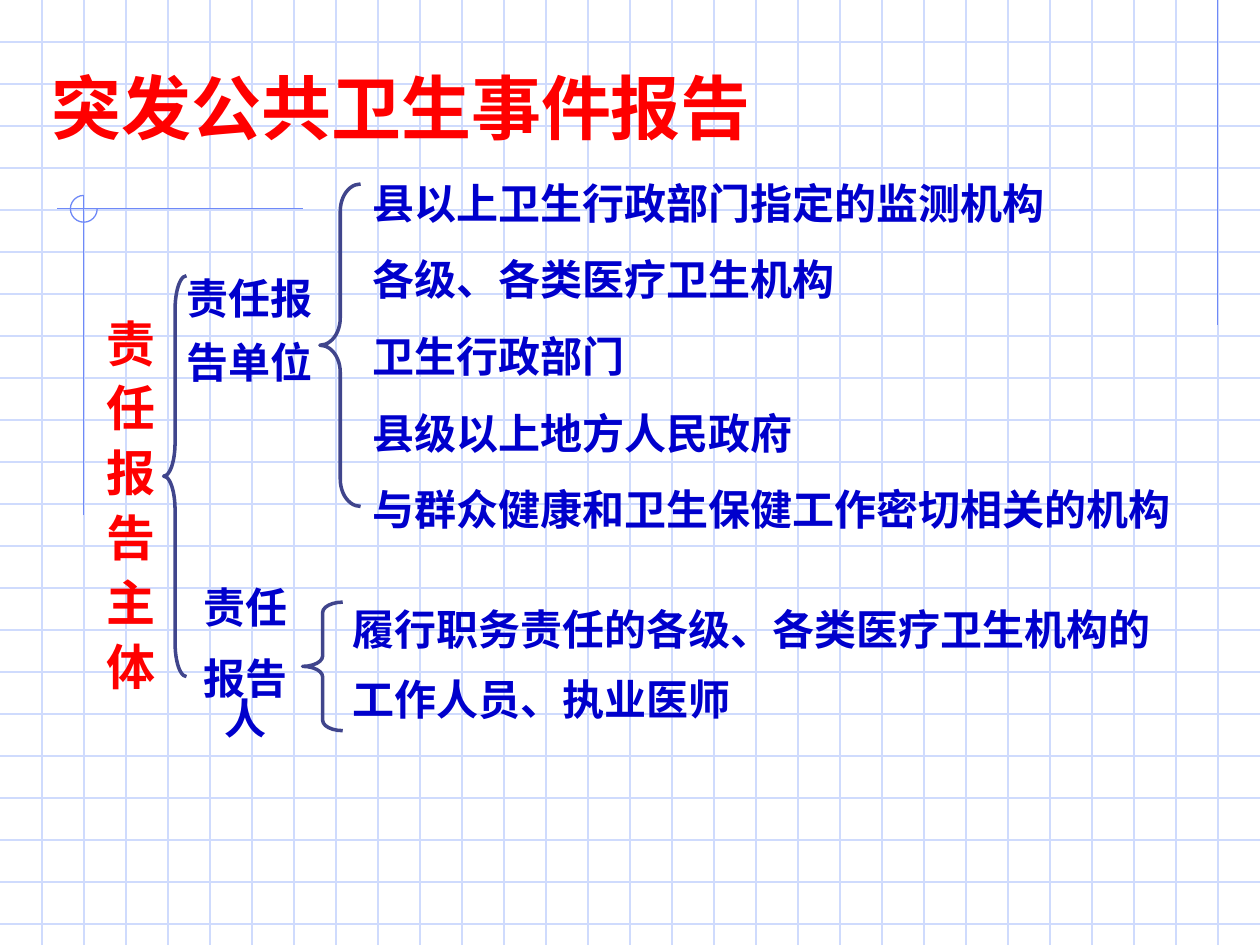
from pptx import Presentation
from pptx.dml.color import RGBColor
from pptx.enum.shapes import MSO_CONNECTOR, MSO_SHAPE
from pptx.enum.text import MSO_ANCHOR, PP_ALIGN
from pptx.oxml.ns import qn
from pptx.util import Cm, Pt
from lxml import etree

STRAIGHT = MSO_CONNECTOR.STRAIGHT
ARC, LEFT_BRACE = MSO_SHAPE.ARC, MSO_SHAPE.LEFT_BRACE
TOP, MIDDLE, BOTTOM = MSO_ANCHOR.TOP, MSO_ANCHOR.MIDDLE, MSO_ANCHOR.BOTTOM
LEFT, CENTER = PP_ALIGN.LEFT, PP_ALIGN.CENTER

COLORS = {
    "grid": "CFDBFD",
    "accent": "6F89F7",
    "brace": "40458C",
    "red": "FF0000",
    "blue": "0000CC",
}
WIDTH, HEIGHT = 25.4, 19.05
GRID_STEP = WIDTH / 30

prs = Presentation()
prs.slide_width, prs.slide_height = Cm(WIDTH), Cm(HEIGHT)
slide = prs.slides.add_slide(prs.slide_layouts[6])


def add_line(x1, y1, x2, y2, color):
    rule = slide.shapes.add_connector(STRAIGHT, Cm(x1), Cm(y1), Cm(x2), Cm(y2))
    rule.line.color.rgb = RGBColor.from_string(COLORS[color])
    rule.line.width = Pt(0.75)
    etree.SubElement(rule._element.spPr, qn("a:effectLst"))


def add_outline(preset, box, color, weight, adjustments):
    outline = slide.shapes.add_shape(preset, *map(Cm, box))
    outline.shadow.inherit = False
    outline.fill.background()
    outline.line.color.rgb = RGBColor.from_string(COLORS[color])
    outline.line.width = Pt(weight)
    for index, value in enumerate(adjustments):
        outline.adjustments[index] = value


for row in range(1, 23):
    add_line(0, row * GRID_STEP, WIDTH, row * GRID_STEP, "grid")
for column in range(1, 30):
    add_line(column * GRID_STEP, 0, column * GRID_STEP, HEIGHT, "grid")

for ends in [(24.55, 0, 24.55, 6.55), (6.1, 4.21, 1.14, 4.21), (1.69, 3.94, 1.69, 10.39)]:
    add_line(*ends, "accent")
add_outline(ARC, (1.42, 3.94, 0.54, 0.54), "accent", 0.75, (0, 162))

braces = [
    ((6.45, 3.71, 0.82, 6.5), 0.67),
    ((3.3, 5.56, 0.46, 8.08), 1.47),
    ((6.1, 12.14, 0.81, 2.59), 0.26),
]
for box, curl in braces:
    add_outline(LEFT_BRACE, box, "brace", 2, (curl, 0.5))

red_heading = {"name": "Lato", "size": Pt(40), "bold": True}
red_label = {"name": "Lato", "size": Pt(28), "bold": True}
blue_text = {"name": "Arial", "size": Pt(24), "bold": True}

texts = [
    ((0.79, 1.04, 17.35, 2.08), ["突发公共卫生事件报告"], red_heading, "red",
     {"line_spacing": 1.6, "alignment": LEFT}, 0, BOTTOM, True),
    ((1.9, 6.07, 1.7, 8.08), list("责任报告主体"), red_label, "red",
     {"line_spacing": 1.1, "alignment": LEFT}, 0, MIDDLE, False),
    ((3.68, 11.79, 2.54, 3.45), ["责任", "报告人"], blue_text, "blue",
     {"line_spacing": 0.8, "alignment": CENTER}, 17.5, TOP, True),
    ((3.4, 5.1, 3.28, 3), ["责任报告单位"], blue_text, "blue",
     {"line_spacing": 1.27, "alignment": CENTER}, 0, TOP, True),
    ((6.86, 11.63, 16.76, 3.1),
     ["履行职务责任的各级、各类医疗卫生机构的工作人员、执业医师"], blue_text, "blue",
     {"line_spacing": 1.4, "alignment": LEFT}, 0, TOP, True),
    ((7.26, 3.45, 17.09, 7.47),
     ["县以上卫生行政部门指定的监测机构", "各级、各类医疗卫生机构", "卫生行政部门",
      "县级以上地方人民政府", "与群众健康和卫生保健工作密切相关的机构"], blue_text, "blue",
     {"line_spacing": 1.0, "alignment": LEFT}, 15, TOP, True),
]
for box, wording, font_format, color, layout, gap, anchor, wrap in texts:
    frame = slide.shapes.add_textbox(*map(Cm, box)).text_frame
    frame.word_wrap = wrap
    frame.vertical_anchor = anchor
    for index, words in enumerate(wording):
        paragraph = frame.add_paragraph() if index else frame.paragraphs[0]
        for attribute, value in layout.items():
            setattr(paragraph, attribute, value)
        paragraph.space_before = Pt(gap if index else 0)
        run = paragraph.add_run()
        run.text = words
        for attribute, value in font_format.items():
            setattr(run.font, attribute, value)
        run.font.color.rgb = RGBColor.from_string(COLORS[color])

prs.save("out.pptx")
